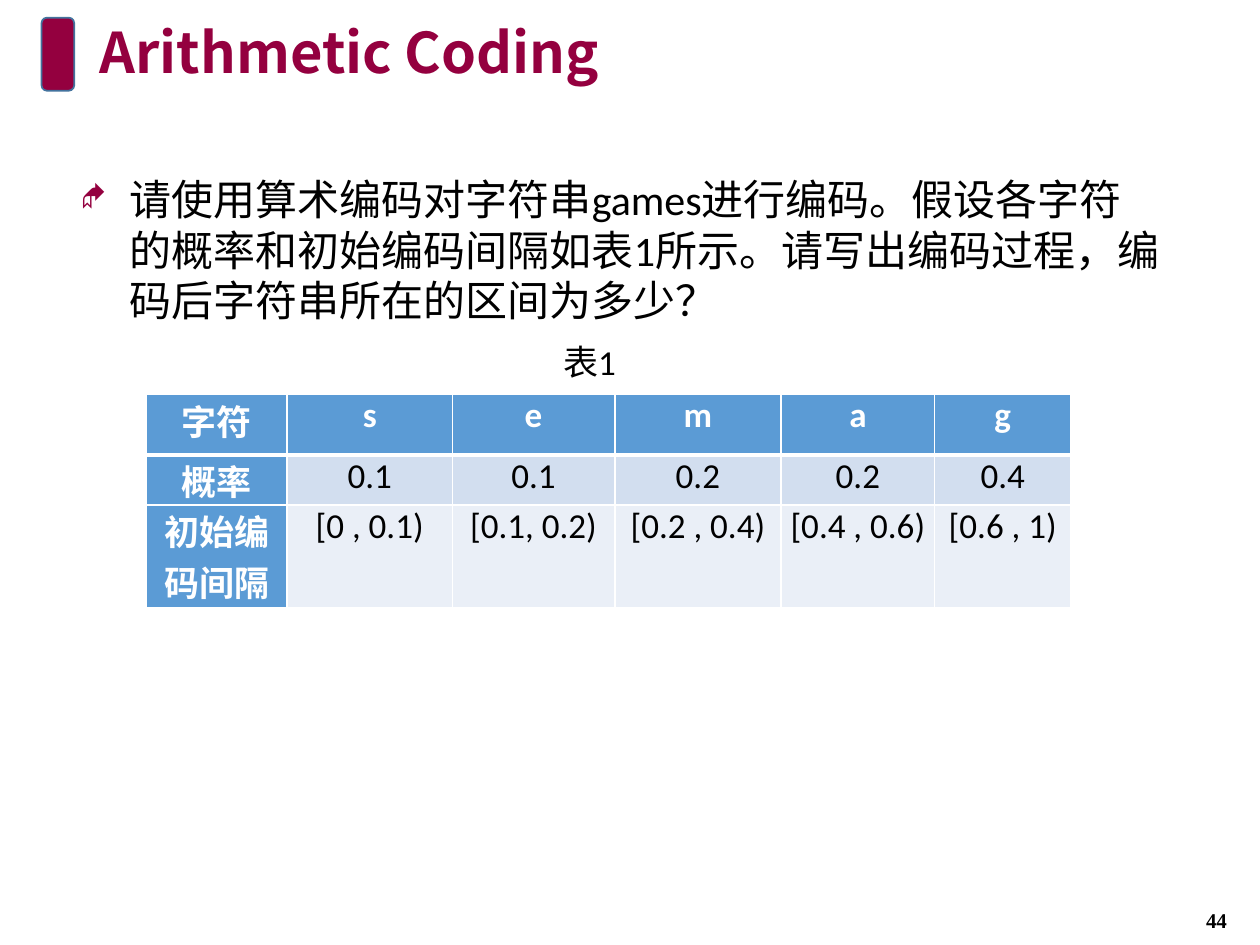
import pptx
import pptx.util
import pptx.dml.color
import pptx.enum.shapes
import pptx.enum.text
import pptx.oxml
import pptx.oxml.ns

Inches = pptx.util.Inches
Pt = pptx.util.Pt
ALIGN = pptx.enum.text.PP_ALIGN
ANCHOR = pptx.enum.text.MSO_ANCHOR

COLORS = {
    "accent": "94003F",
    "outline": "43739E",
    "text": "000000",
    "white": "FFFFFF",
    "header": "5B9BD5",
    "band_dark": "D2DEEF",
    "band_light": "EAEFF7",
}
COLUMN_WIDTHS = [1.12, 1.31, 1.29, 1.32, 1.22, 1.08]
ROW_HEIGHTS = [0.48, 0.4, 0.81]
ROWS = [
    ["字符", "s", "e", "m", "a", "g"],
    ["概率", "0.1", "0.1", "0.2", "0.2", "0.4"],
    ["初始编码间隔", "[0 , 0.1)", "[0.1, 0.2)", "[0.2 , 0.4)", "[0.4 , 0.6)", "[0.6 , 1)"],
]


def color(name):
    return pptx.dml.color.RGBColor.from_string(COLORS[name])


def write(frame, text, size=20, font="Calibri", fill="text", bold=False,
          align=ALIGN.LEFT, spacing=None):
    para = frame.paragraphs[0]
    para.alignment = align
    para.line_spacing = spacing
    span = para.add_run()
    span.text = text
    span.font.size = Pt(size)
    span.font.name = font
    span.font.bold = bold
    span.font.color.rgb = color(fill)
    return para


def add_text(page, area, text, anchor=ANCHOR.TOP, inset=None, **style):
    frame = page.shapes.add_textbox(*map(Inches, area)).text_frame
    frame.word_wrap = True
    frame.vertical_anchor = anchor
    if inset is not None:
        frame.margin_left = frame.margin_right = Inches(inset)
        frame.margin_top = frame.margin_bottom = Inches(inset)
    return write(frame, text, **style)


def add_heading(page, left, top, width, height):
    marker = page.shapes.add_shape(
        pptx.enum.shapes.MSO_SHAPE.ROUNDED_RECTANGLE,
        Inches(left), Inches(top), Inches(0.26), Inches(height))
    marker.shadow.inherit = False
    marker.fill.solid()
    marker.fill.fore_color.rgb = color("accent")
    marker.line.color.rgb = color("outline")
    marker.line.width = Pt(1)
    add_text(page, (left + 0.36, top + 0.01, width - 0.36, height), "Arithmetic Coding",
             size=32, font="Noto Sans CJK SC", fill="accent", bold=True, spacing=0.9)


def add_question(page, area):
    para = add_text(
        page, area,
        "请使用算术编码对字符串games进行编码。假设各字符的概率和初始编码间隔如表1所示。"
        "请写出编码过程，编码后字符串所在的区间为多少？",
        size=24, inset=0)
    properties = para._p.get_or_add_pPr()
    properties.set("marL", str(Inches(0.39)))
    properties.set("indent", str(-Inches(0.39)))
    namespace = pptx.oxml.ns.nsdecls("a")
    for bullet in (
        f'<a:buClr {namespace}><a:srgbClr val="{COLORS["accent"]}"/></a:buClr>',
        f'<a:buSzPct {namespace} val="70000"/>',
        f'<a:buFont {namespace} typeface="Wingdings"/>',
        f'<a:buChar {namespace} char="◆"/>',
    ):
        properties.append(pptx.oxml.parse_xml(bullet))


def set_borders(cell, bottom, top):
    properties = cell._tc.get_or_add_tcPr()
    namespace = pptx.oxml.ns.nsdecls("a")
    sides = {"lnL": 1, "lnR": 1, "lnT": top, "lnB": bottom}
    for index, (side, width) in enumerate(sides.items()):
        properties.insert(index, pptx.oxml.parse_xml(
            f'<a:{side} {namespace} w="{Pt(width)}"><a:solidFill>'
            f'<a:srgbClr val="{COLORS["white"]}"/></a:solidFill></a:{side}>'))


def add_probability_table(page, left, top):
    table = page.shapes.add_table(
        len(ROWS), len(COLUMN_WIDTHS), Inches(left), Inches(top),
        Inches(sum(COLUMN_WIDTHS)), Inches(sum(ROW_HEIGHTS))).table
    table.first_col = True
    for column, width in zip(table.columns, COLUMN_WIDTHS):
        column.width = Inches(width)
    for row, height in zip(table.rows, ROW_HEIGHTS):
        row.height = Inches(height)
    bands = ["header", "band_dark", "band_light"]
    for i, texts in enumerate(ROWS):
        for j, text in enumerate(texts):
            cell = table.cell(i, j)
            heading = i == 0 or j == 0
            cell.margin_left = cell.margin_right = Inches(0.07)
            cell.margin_top = cell.margin_bottom = 0
            cell.fill.solid()
            cell.fill.fore_color.rgb = color("header" if heading else bands[i])
            set_borders(cell, bottom=3 if i == 0 else 1, top=3 if i == 1 else 1)
            write(cell.text_frame, text, fill="white" if heading else "text",
                  bold=heading, align=ALIGN.CENTER)


def main():
    deck = pptx.Presentation()
    deck.slide_width = Inches(10)
    deck.slide_height = Inches(7.5)
    page = deck.slides.add_slide(deck.slide_layouts[6])
    add_heading(page, 0.33, 0.14, 8.98, 0.58)
    add_text(page, (9.23, 7.1, 0.85, 0.4), "44", anchor=ANCHOR.MIDDLE, size=12,
             font="Times New Roman", bold=True, align=ALIGN.CENTER)
    add_question(page, (0.64, 1.38, 8.59, 6.12))
    add_probability_table(page, 1.16, 3.13)
    add_text(page, (4.37, 2.64, 1.25, 0.45), "表1", anchor=ANCHOR.MIDDLE)
    deck.save("out.pptx")


if __name__ == "__main__":
    main()
